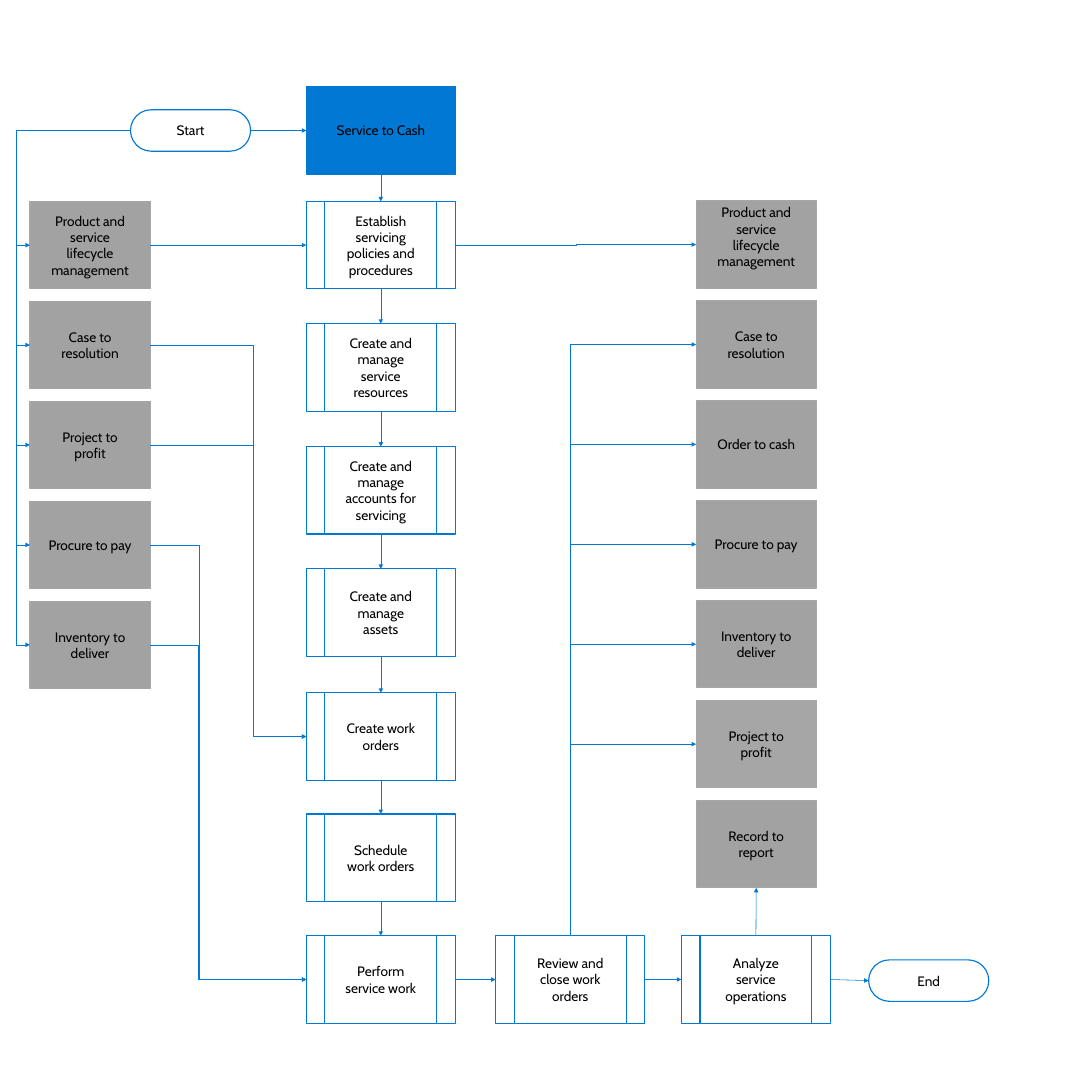
from lxml import etree
from pptx import Presentation
from pptx.dml.color import RGBColor
from pptx.enum.shapes import MSO_CONNECTOR, MSO_SHAPE
from pptx.enum.text import MSO_ANCHOR, PP_ALIGN
from pptx.oxml.ns import qn
from pptx.util import Inches, Pt

RECT = MSO_SHAPE.RECTANGLE
PROCESS = MSO_SHAPE.FLOWCHART_PREDEFINED_PROCESS
TERMINATOR = MSO_SHAPE.ROUNDED_RECTANGLE
STRAIGHT = MSO_CONNECTOR.STRAIGHT
ELBOW = MSO_CONNECTOR.ELBOW
MIDDLE = MSO_ANCHOR.MIDDLE
CENTER = PP_ALIGN.CENTER
TOP, LEFT, BOTTOM, RIGHT = range(4)

COLORS = {
    "blue": "0078D4",
    "white": "FFFFFF",
    "black": "000000",
    "gray": "A2A2A2",
    "light_gray": "A6A6A6",
}


def color(name):
    return RGBColor.from_string(COLORS[name])


def side_point(s, side):
    x = {LEFT: s.left, RIGHT: s.left + s.width}.get(side, s.left + s.width // 2)
    y = {TOP: s.top, BOTTOM: s.top + s.height}.get(side, s.top + s.height // 2)
    return x, y


class Flowchart:
    font = "Cabin"
    size = Pt(18)

    def __init__(self, slide):
        self.shapes = slide.shapes

    def box(self, kind, text, x, y, w, h, fill, line, top=0.24, bottom=0.24):
        s = self.shapes.add_shape(kind, Inches(x), Inches(y), Inches(w), Inches(h))
        s.shadow.inherit = False
        if fill:
            s.fill.solid()
            s.fill.fore_color.rgb = color(fill)
        else:
            s.fill.background()
        s.line.color.rgb = color(line)
        s.line.width = Pt(1.5)
        tf = s.text_frame
        tf.word_wrap = True
        tf.vertical_anchor = MIDDLE
        tf.margin_left = tf.margin_right = Inches(0.3)
        tf.margin_top, tf.margin_bottom = Inches(top), Inches(bottom)
        p = tf.paragraphs[0]
        p.text = text
        p.alignment = CENTER
        p.font.name = self.font
        p.font.size = self.size
        p.font.color.rgb = color("black")
        return s

    def terminator(self, text, x, y):
        s = self.box(TERMINATOR, text, x, y, 2.2, 0.76, None, "blue")
        s.adjustments[0] = 0.5
        return s

    def process(self, text, x, y):
        return self.box(PROCESS, text, x, y, 2.73, 1.6, "white", "blue")

    def related(self, text, x, y, fill="gray", **insets):
        return self.box(RECT, text, x, y, 2.2, 1.6, fill, "light_gray", **insets)

    def connector(self, kind, begin, end):
        c = self.shapes.add_connector(kind, *begin, *end)
        c.line.color.rgb = color("blue")
        c.line.width = Pt(0.75)
        ln = c.line._get_or_add_ln()
        etree.SubElement(ln, qn("a:tailEnd"), type="triangle")
        etree.SubElement(c._element.spPr, qn("a:effectLst"))
        return c

    def arrow(self, source, source_side, target, target_side):
        begin, end = side_point(source, source_side), side_point(target, target_side)
        c = self.connector(STRAIGHT, begin, end)
        c.begin_connect(source, source_side)
        c.end_connect(target, target_side)

    def elbow(self, source, source_side, target, via=None):
        begin, end = side_point(source, source_side), side_point(target, LEFT)
        c = self.connector(ELBOW, begin, end)
        turn = begin[0] if via is None else Inches(via)
        share = round(100000 * (turn - begin[0]) / (end[0] - begin[0]))
        guides = c._element.spPr.find(qn("a:prstGeom")).get_or_add_avLst()
        etree.SubElement(guides, qn("a:gd"), name="adj1", fmla=f"val {share}")


def main():
    prs = Presentation()
    prs.slide_width = prs.slide_height = Inches(20)
    chart = Flowchart(prs.slides.add_slide(prs.slide_layouts[6]))

    start = chart.terminator("Start", 2.39, 2.01)
    end = chart.terminator("End", 15.91, 17.58)
    title = chart.box(RECT, "Service to Cash", 5.61, 1.59, 2.73, 1.6, "blue", "blue")

    steps = [chart.process(text, 5.61, y) for text, y in (
        ("Establish servicing policies and procedures", 3.69),
        ("Create and manage service resources", 5.93),
        ("Create and manage accounts for servicing", 8.18),
        ("Create and manage assets", 10.42),
        ("Create work orders", 12.69),
        ("Schedule work orders", 14.91),
        ("Perform service work", 17.14),
    )]
    establish, create_orders, perform = steps[0], steps[4], steps[6]
    review = chart.process("Review and close work orders", 9.08, 17.14)
    analyze = chart.process("Analyze service operations", 12.48, 17.14)

    pitch = 1.83
    lifecycle = "Product and service lifecycle management"
    inputs = [chart.related(text, 0.55, 3.69 + pitch * i) for i, text in enumerate((
        lifecycle, "Case to resolution", "Project to profit",
        "Procure to pay", "Inventory to deliver",
    ))]
    lifecycle_out = chart.related(lifecycle, 12.75, 3.68, top=0.05, bottom=0.33)
    outputs = [chart.related(text, 12.75, 3.68 + pitch * i, fill)
               for i, (text, fill) in enumerate((
                   ("Case to resolution", "gray"),
                   ("Order to cash", "gray"),
                   ("Procure to pay", "gray"),
                   ("Inventory to deliver", "gray"),
                   ("Project to profit", "light_gray"),
                   ("Record to report", "gray"),
               ), 1)]

    column = [title] + steps
    for upper, lower in zip(column, steps):
        chart.arrow(upper, BOTTOM, lower, TOP)
    row = [perform, review, analyze, end]
    for source, target in [(start, title), (inputs[0], establish), *zip(row, row[1:])]:
        chart.arrow(source, RIGHT, target, LEFT)
    chart.arrow(analyze, TOP, outputs[-1], BOTTOM)

    for s in inputs:
        chart.elbow(start, LEFT, s, 0.3)
    for s, target, via in zip(inputs[1:], [create_orders] * 2 + [perform] * 2,
                              (4.64, 4.64, 3.65, 3.63)):
        chart.elbow(s, RIGHT, target, via)
    chart.elbow(establish, RIGHT, lifecycle_out, 10.55)
    for s in outputs[:-1]:
        chart.elbow(review, TOP, s)

    prs.save("out.pptx")


if __name__ == "__main__":
    main()
